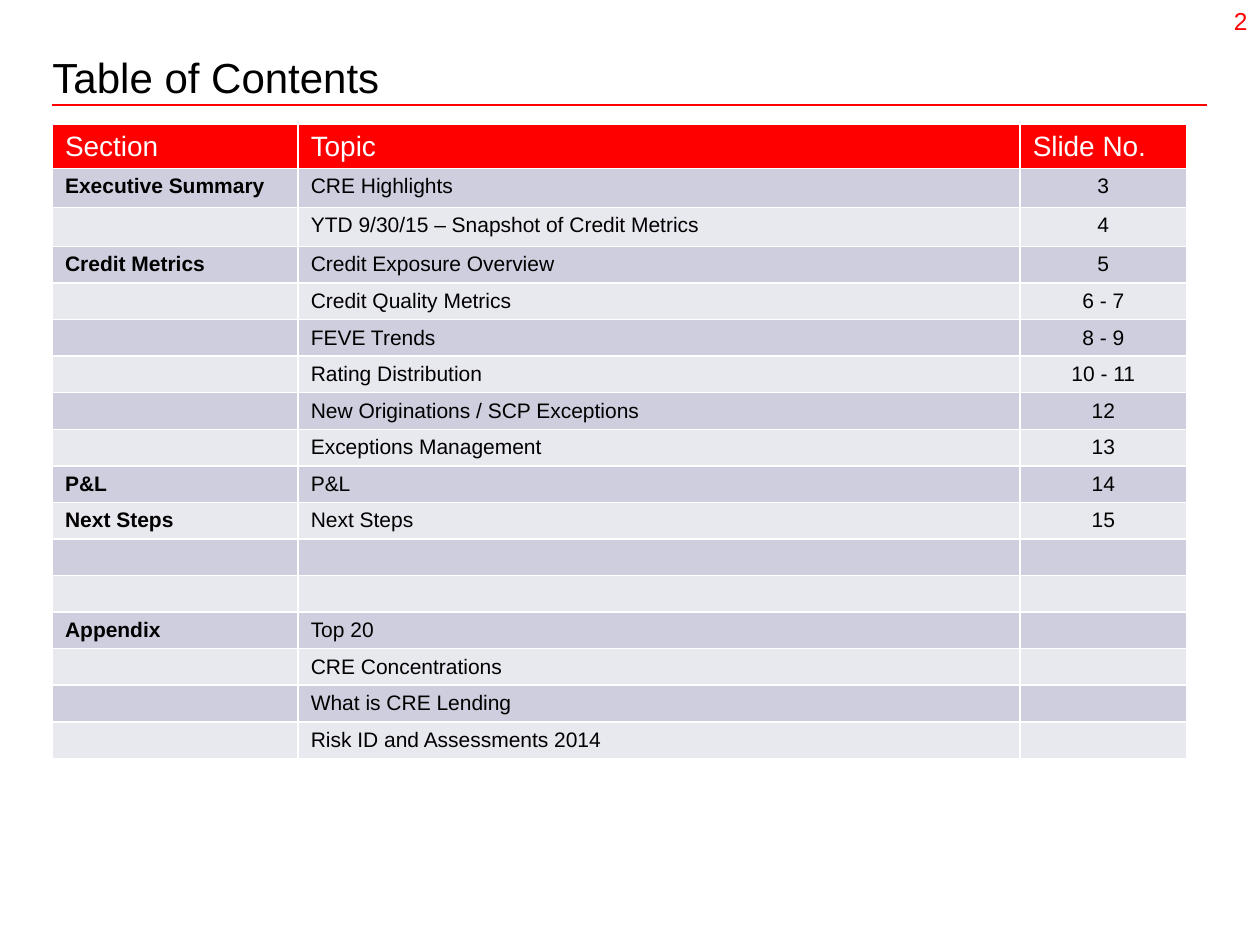
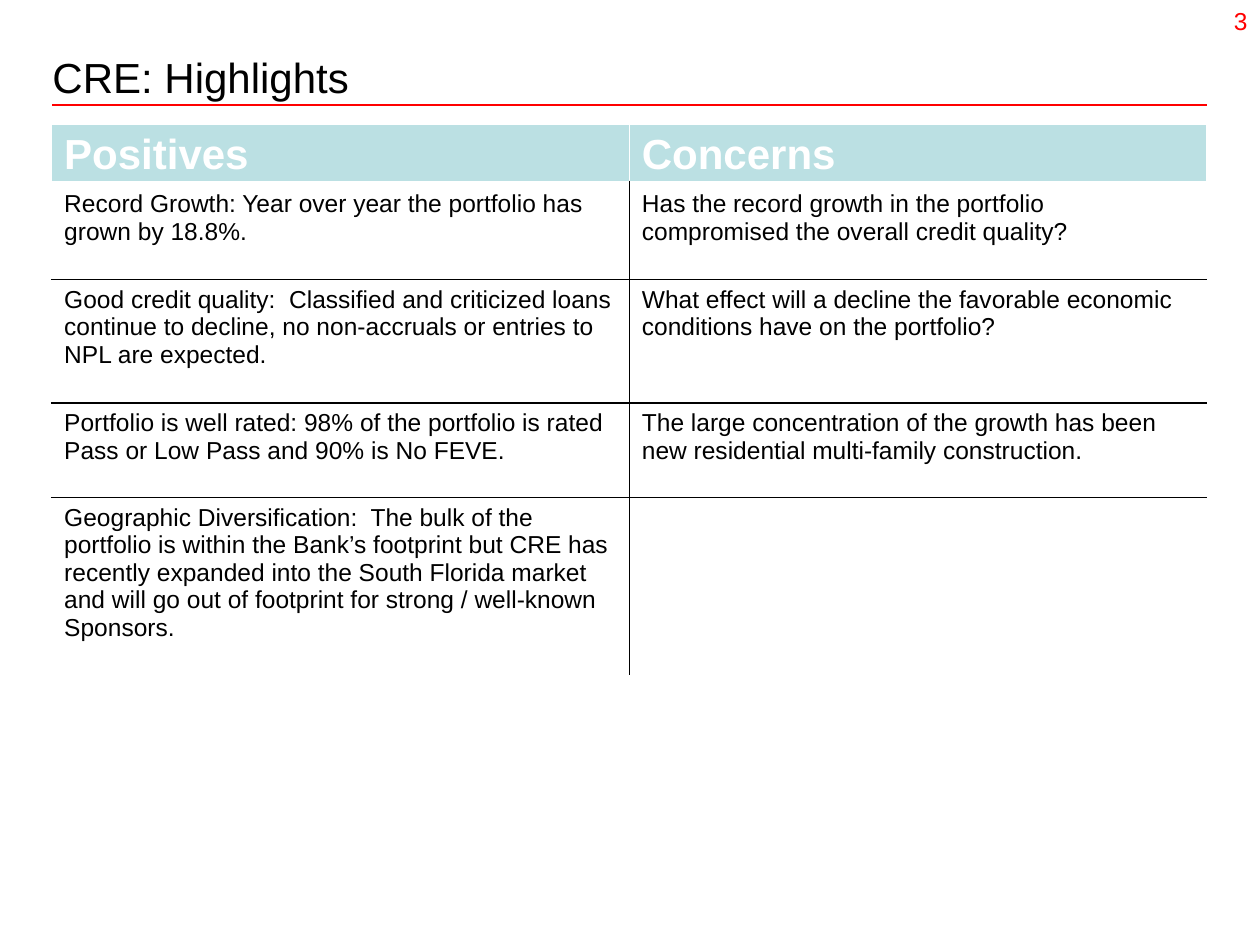
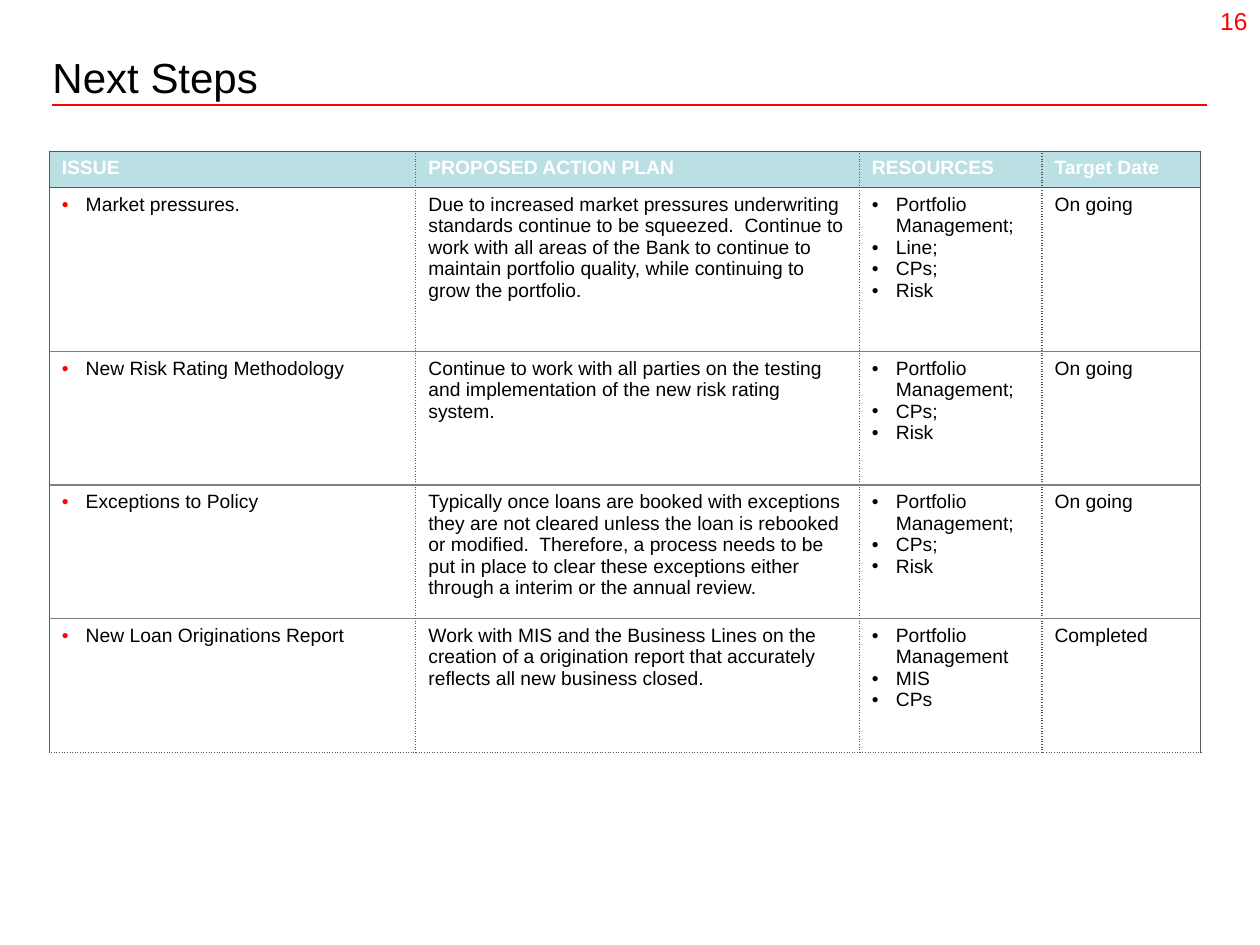
from lxml.etree import SubElement
from pptx import Presentation
from pptx.dml.color import RGBColor
from pptx.enum.shapes import MSO_CONNECTOR
from pptx.enum.text import MSO_ANCHOR as ANCHOR, PP_ALIGN as ALIGN
from pptx.oxml.ns import qn
from pptx.util import Inches, Pt

FONT = "Arial"
RED, BLACK, WHITE = "FF0000", "000000", "FFFFFF"
TEAL, LILAC, PALE = "BBE0E3", "CECEDE", "E8E8EF"
DARK, GRAY = "595959", "808080"
LEFT = 5 / 12
RIGHT = 10 - LEFT
RULE_TOP = 2 * LEFT
TABLE_TOP = 95 / 96

WHITE_LINE, BLACK_LINE = (WHITE, 1), (BLACK, 1)
EDGE, DOTTED, RULE = (DARK, 0.75), (DARK, 0.75, "sysDot"), (GRAY, 1)

CONTENTS = [
    ("Section", "Topic", "Slide No."),
    ("Executive Summary", "CRE Highlights", "3"),
    ("", "YTD 9/30/15 – Snapshot of Credit Metrics", "4"),
    ("Credit Metrics", "Credit Exposure Overview", "5"),
    ("", "Credit Quality Metrics", "6 - 7"),
    ("", "FEVE Trends", "8 - 9"),
    ("", "Rating Distribution", "10 - 11"),
    ("", "New Originations / SCP Exceptions", "12"),
    ("", "Exceptions Management", "13"),
    ("P&L", "P&L", "14"),
    ("Next Steps", "Next Steps", "15"),
    ("", "", ""),
    ("", "", ""),
    ("Appendix", "Top 20", ""),
    ("", "CRE Concentrations", ""),
    ("", "What is CRE Lending", ""),
    ("", "Risk ID and Assessments 2014", ""),
]

HIGHLIGHTS = [
    ("Positives", "Concerns"),
    ("Record Growth: Year over year the portfolio has grown by 18.8%.",
     "Has the record growth in the portfolio compromised the overall credit quality?"),
    ("Good credit quality:  Classified and criticized loans continue to decline, "
     "no non-accruals or entries to NPL are expected.",
     "What effect will a decline the favorable economic conditions have on the portfolio?"),
    ("Portfolio is well rated: 98% of the portfolio is rated Pass or Low Pass and 90% is No FEVE.",
     "The large concentration of the growth has been new residential multi-family construction."),
    ("Geographic Diversification:  The bulk of the portfolio is within the Bank’s footprint "
     "but CRE has recently expanded into the South Florida market and will go out of footprint "
     "for strong / well-known Sponsors.", ""),
]

STEPS = [
    ("ISSUE", "PROPOSED ACTION PLAN", "RESOURCES", "Target Date"),
    ("Market pressures.",
     "Due to increased market pressures underwriting standards continue to be squeezed.  "
     "Continue to work with all areas of the Bank to continue to maintain portfolio quality, "
     "while continuing to grow the portfolio.",
     "Portfolio Management;\nLine;\nCPs;\nRisk", "On going"),
    ("New Risk Rating Methodology",
     "Continue to work with all parties on the testing and implementation of the new risk "
     "rating system.",
     "Portfolio Management;\nCPs;\nRisk", "On going"),
    ("Exceptions to Policy",
     "Typically once loans are booked with exceptions they are not cleared unless the loan is "
     "rebooked or modified.  Therefore, a process needs to be put in place to clear these "
     "exceptions either through a interim or the annual review.",
     "Portfolio Management;\nCPs;\nRisk", "On going"),
    ("New Loan Originations Report",
     "Work with MIS and the Business Lines on the creation of a origination report that "
     "accurately reflects all new business closed.",
     "Portfolio Management\nMIS\nCPs", "Completed"),
]


def rgb(color):
    return RGBColor.from_string(color)


def add_bullet(p, color):
    pPr = p._p.get_or_add_pPr()
    pPr.set("marL", str(Inches(0.19)))
    pPr.set("indent", str(Inches(-0.19)))
    SubElement(SubElement(pPr, qn("a:buClr")), qn("a:srgbClr"), val=color)
    SubElement(pPr, qn("a:buFont"), typeface=FONT)
    SubElement(pPr, qn("a:buChar"), char="•")


def write(tf, text, size=12, color=BLACK, bold=False, align=ALIGN.LEFT, spacing=None, bullet=None):
    for i, line in enumerate(text.split("\n")):
        p = tf.add_paragraph() if i else tf.paragraphs[0]
        p.alignment = align
        if spacing:
            p.line_spacing = spacing
        if bullet:
            add_bullet(p, bullet)
        if line:
            r = p.add_run()
            r.text = line
            r.font.name, r.font.size, r.font.bold = FONT, Pt(size), bold
            r.font.color.rgb = rgb(color)
        else:
            end = SubElement(p._p, qn("a:endParaRPr"), sz=str(size * 100))
            SubElement(end, qn("a:latin"), typeface=FONT)


def set_borders(cell, left=None, right=None, top=None, bottom=None):
    tcPr = cell._tc.get_or_add_tcPr()
    for side, line in zip("LRTB", (left, right, top, bottom)):
        ln = SubElement(tcPr, qn(f"a:ln{side}"))
        if not line:
            SubElement(ln, qn("a:noFill"))
            continue
        color, width, *dash = line
        ln.set("w", str(Pt(width)))
        SubElement(SubElement(ln, qn("a:solidFill")), qn("a:srgbClr"), val=color)
        SubElement(ln, qn("a:prstDash"), val=dash[0] if dash else "solid")


def add_grid(s, x, y, cols, heights, rows, style, margins):
    shape = s.shapes.add_table(len(rows), len(cols), Inches(x), Inches(y),
                               Inches(sum(cols)), Inches(sum(heights)))
    table = shape.table
    table.horz_banding = False
    for col, width in zip(table.columns, cols):
        col.width = Inches(width)
    for i, (row, height) in enumerate(zip(rows, heights)):
        table.rows[i].height = Inches(height)
        top, bottom = margins.get(i, margins["body"])
        for j, text in enumerate(row):
            cell = table.cell(i, j)
            cell.margin_top, cell.margin_bottom = Inches(top), Inches(bottom)
            fill, borders, fmt = style(i, j)
            set_borders(cell, **borders)
            if fill:
                cell.fill.solid()
                cell.fill.fore_color.rgb = rgb(fill)
            else:
                cell.fill.background()
            write(cell.text_frame, text, **fmt)


def contents_style(i, j):
    borders = dict.fromkeys(("left", "right", "top", "bottom"), WHITE_LINE)
    if i == 0:
        return RED, borders, dict(size=16, color=WHITE)
    align = ALIGN.CENTER if j == 2 else ALIGN.LEFT
    return LILAC if i % 2 else PALE, borders, dict(bold=j == 0, align=align)


def highlights_style(i, j):
    if i == 0:
        borders = dict.fromkeys(("left", "right", "top", "bottom"), WHITE_LINE)
        return TEAL, borders, dict(size=24, color=WHITE, bold=True)
    borders = dict(left=BLACK_LINE if j else WHITE_LINE,
                   right=None if j else BLACK_LINE,
                   top=BLACK_LINE if i > 1 else WHITE_LINE,
                   bottom=BLACK_LINE if i < len(HIGHLIGHTS) - 1 else None)
    return None, borders, dict(size=14)


def steps_style(i, j):
    borders = dict(left=DOTTED if j else EDGE,
                   right=DOTTED if j < 3 else EDGE,
                   top=RULE if i > 1 else EDGE,
                   bottom=EDGE if i == 0 else RULE if i < len(STEPS) - 1 else DOTTED)
    if i == 0:
        return TEAL, borders, dict(size=11, color=WHITE, bold=True)
    return WHITE, borders, dict(size=11, bullet={0: RED, 2: BLACK}.get(j))


def add_rule(s):
    line = s.shapes.add_connector(MSO_CONNECTOR.STRAIGHT, Inches(LEFT), Inches(RULE_TOP),
                                  Inches(RIGHT), Inches(RULE_TOP))
    line.line.color.rgb = rgb(RED)
    line.line.width = Pt(1.25)
    SubElement(line._element.spPr, qn("a:effectLst"))


def add_number(s, number):
    box = s.shapes.add_textbox(Inches(RIGHT), 0, Inches(LEFT), Inches(LEFT))
    box.text_frame.word_wrap = False
    write(box.text_frame, number, size=14, color=RED, align=ALIGN.RIGHT)


def add_slide(prs, title, number):
    s = prs.slides.add_slide(prs.slide_layouts[5])
    add_rule(s)
    sp = s.shapes.title
    sp.left, sp.top, sp.width, sp.height = map(Inches, (LEFT, LEFT, RIGHT - LEFT, 0.5))
    tf = sp.text_frame
    tf.margin_left = tf.margin_right = tf.margin_top = 0
    tf.margin_bottom = Inches(0.06)
    tf.word_wrap = False
    tf.vertical_anchor = ANCHOR.MIDDLE
    write(tf, title, size=24, spacing=0.9)
    add_number(s, number)
    return s


def main():
    prs = Presentation()
    prs.slide_width, prs.slide_height = Inches(10), Inches(7.5)

    s = add_slide(prs, "Table of Contents", "2")
    add_grid(s, LEFT, TABLE_TOP, [1.95, 5.73, 1.32], [0.34] + [0.31] * 2 + [4.02 / 14] * 14,
             CONTENTS, contents_style, {0: (0.05, 0.03), "body": (0.05, 0.04)})

    s = add_slide(prs, "CRE: Highlights", "3")
    add_grid(s, 0.41, TABLE_TOP, [9.17 / 2] * 2, [0.44, 0.78, 0.98, 0.75, 1.41],
             HIGHLIGHTS, highlights_style,
             {0: (0.05, 0), 1: (0.07, 0.05), "body": (0.05, 0.05)})

    s = add_slide(prs, "Next Steps", "16")
    add_grid(s, 0.39, 1.2, [2.91, 3.52, 1.45, 1.26], [0.29, 1.3] + [1.06] * 3,
             STEPS, steps_style, {"body": (0.05, 0.05)})

    prs.save("out.pptx")


if __name__ == "__main__":
    main()
